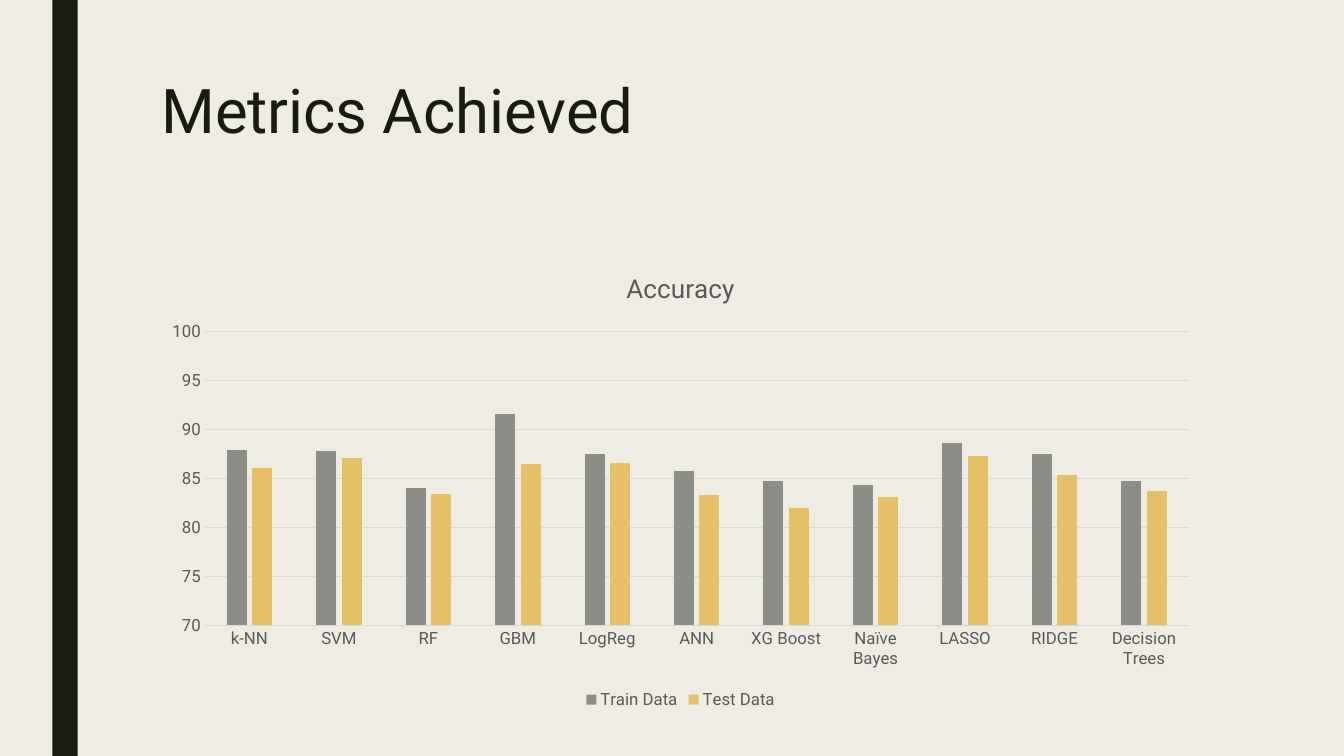
"""Build the "Metrics Achieved" slide with a clustered column chart of model accuracy."""
from pptx import Presentation
from pptx.chart.data import CategoryChartData
from pptx.dml.color import RGBColor
from pptx.enum.chart import XL_CHART_TYPE as ChartType
from pptx.enum.chart import XL_LEGEND_POSITION as LegendPosition
from pptx.enum.chart import XL_TICK_MARK as TickMark
from pptx.enum.shapes import MSO_SHAPE as Shape
from pptx.enum.text import MSO_ANCHOR as Anchor
from pptx.enum.text import MSO_AUTO_SIZE as AutoSize
from pptx.enum.text import PP_ALIGN as Align
from pptx.util import Pt

PX = 9144
FONT = "Roboto"
CREAM = RGBColor(0xEF, 0xED, 0xE3)
INK = RGBColor(0x19, 0x1B, 0x0E)
LABEL = RGBColor(0x59, 0x59, 0x59)
GRID = RGBColor(0xD9, 0xD9, 0xD9)
GRAY = RGBColor(0x8C, 0x8D, 0x86)
GOLD = RGBColor(0xE6, 0xC0, 0x69)

MODELS = ["k-NN", "SVM", "RF", "GBM", "LogReg", "ANN", "XG Boost",
          "Naïve Bayes", "LASSO", "RIDGE", "Decision Trees"]
ACCURACY = [
    ("Train Data", GRAY, [87.9, 87.8, 84, 91.6, 87.5, 85.8, 84.8, 84.3, 88.6, 87.5, 84.8]),
    ("Test Data", GOLD, [86.1, 87.1, 83.4, 86.5, 86.6, 83.3, 82, 83.1, 87.3, 85.4, 83.7]),
]


def box(*lengths):
    """Turn px lengths into EMU."""
    return [length * PX for length in lengths]


def style_font(font, size, color):
    """Apply the slide's typeface with a size and colour."""
    for key, value in {"name": FONT, "size": Pt(size), "bold": False}.items():
        setattr(font, key, value)
    font.color.rgb = color


deck = Presentation()
deck.slide_width, deck.slide_height = box(1333, 750)
slide = deck.slides.add_slide(deck.slide_layouts[5])
slide.background.fill.solid()
slide.background.fill.fore_color.rgb = CREAM

side_bar = slide.shapes.add_shape(Shape.RECTANGLE, *box(52, 0, 25, 750))
side_bar.shadow.inherit = False
side_bar.fill.solid()
side_bar.fill.fore_color.rgb = INK
side_bar.line.fill.background()

heading = slide.shapes.title
heading.left, heading.top, heading.width, heading.height = box(150, 75, 1050, 162)
heading.text_frame.text = "Metrics Achieved"
heading.text_frame.auto_size = AutoSize.NONE
heading.text_frame.vertical_anchor = Anchor.TOP
heading_line = heading.text_frame.paragraphs[0]
heading_line.alignment = Align.LEFT
heading_line.line_spacing = 0.89
style_font(heading_line.runs[0].font, 44, INK)

accuracy_data = CategoryChartData()
accuracy_data.categories = MODELS
for series_name, _, values in ACCURACY:
    accuracy_data.add_series(series_name, values)
accuracy = slide.shapes.add_chart(
    ChartType.COLUMN_CLUSTERED, *box(150, 250, 1050, 458), accuracy_data).chart
style_font(accuracy.font, 12, LABEL)

accuracy.has_title = True
accuracy.chart_title.include_in_layout = False
accuracy.chart_title.text_frame.text = "Accuracy"
style_font(accuracy.chart_title.text_frame.paragraphs[0].runs[0].font, 18.6, LABEL)

accuracy.has_legend = True
accuracy.legend.position = LegendPosition.BOTTOM
accuracy.legend.include_in_layout = False
style_font(accuracy.legend.font, 12, LABEL)

models_axis, score_axis = accuracy.category_axis, accuracy.value_axis
for axis in (models_axis, score_axis):
    axis.major_tick_mark = axis.minor_tick_mark = TickMark.NONE
    style_font(axis.tick_labels.font, 12, LABEL)
for key, value in {"minimum_scale": 70, "maximum_scale": 100, "major_unit": 5,
                   "has_major_gridlines": True}.items():
    setattr(score_axis, key, value)
score_axis.format.line.fill.background()
for line in (models_axis.format.line, score_axis.major_gridlines.format.line):
    line.color.rgb = GRID
    line.width = Pt(0.75)

columns = accuracy.plots[0]
for key, value in {"gap_width": 219, "overlap": -27, "vary_by_categories": False}.items():
    setattr(columns, key, value)
for series, (_, color, _) in zip(columns.series, ACCURACY):
    series.format.fill.solid()
    series.format.fill.fore_color.rgb = color

deck.save("out.pptx")
